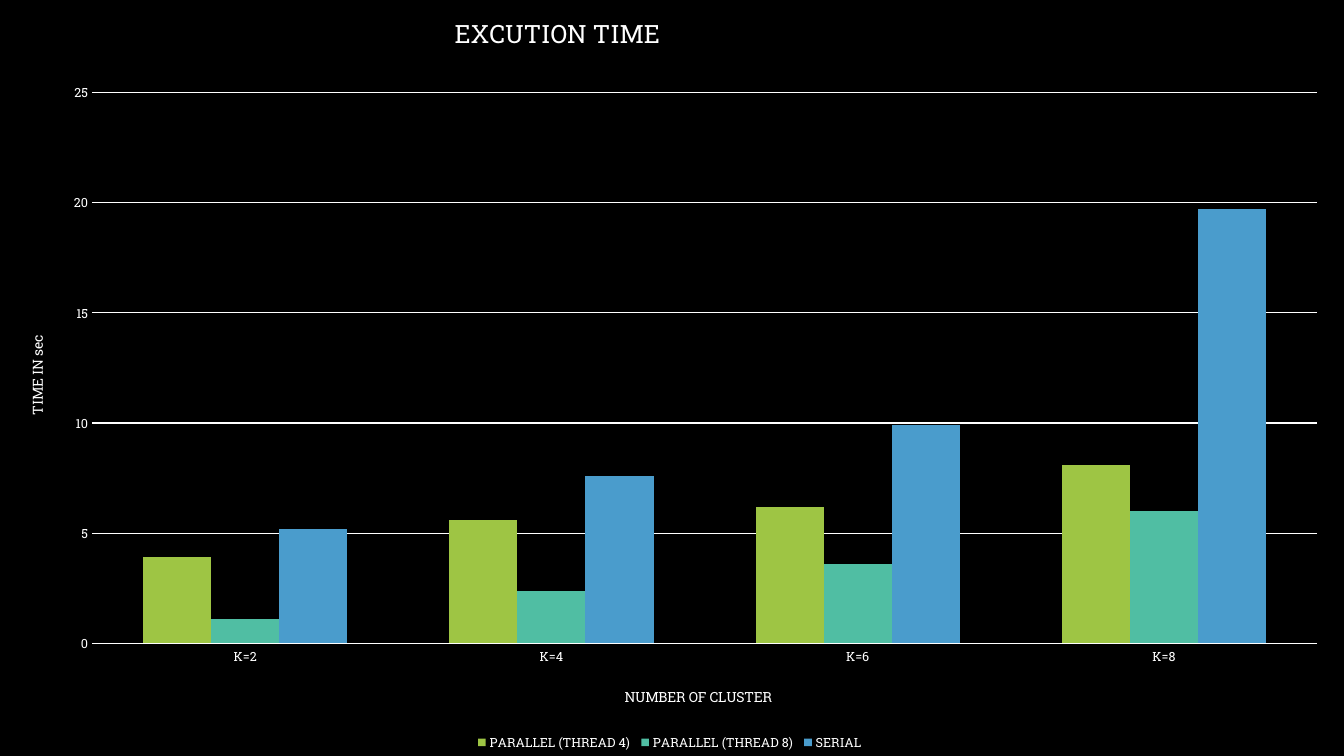
from lxml import etree
from pptx import Presentation
from pptx.chart.data import CategoryChartData
from pptx.dml.color import RGBColor
from pptx.enum.chart import XL_CHART_TYPE, XL_LEGEND_POSITION, XL_TICK_MARK
from pptx.oxml.ns import qn
from pptx.util import Cm, Pt

COLUMN_CLUSTERED = XL_CHART_TYPE.COLUMN_CLUSTERED
LEGEND_BOTTOM = XL_LEGEND_POSITION.BOTTOM
NO_TICK = XL_TICK_MARK.NONE

BLACK = RGBColor(0x00, 0x00, 0x00)
WHITE = RGBColor(0xFF, 0xFF, 0xFF)
GREEN = RGBColor(0x9E, 0xC5, 0x44)
TEAL = RGBColor(0x50, 0xBE, 0xA3)
BLUE = RGBColor(0x4A, 0x9C, 0xCC)

WIDTH, HEIGHT = Cm(33.87), Cm(19.05)
CATEGORIES = ["K=2", "K=4", "K=6", "K=8"]
SERIES = [
    ("PARALLEL (THREAD 4) ", GREEN, (3.9, 5.6, 6.2, 8.1)),
    ("PARALLEL (THREAD 8) ", TEAL, (1.1, 2.4, 3.6, 6)),
    ("SERIAL", BLUE, (5.2, 7.6, 9.9, 19.7)),
]


def format_font(font, size, color=WHITE, name="Roboto Slab"):
    font.size = Pt(size)
    font.bold = False
    font.name = name
    font.color.rgb = color


def write_text(text_frame, text, size=10, **style):
    paragraph = text_frame.paragraphs[0]
    run = paragraph.add_run()
    run.text = text
    format_font(run.font, size, **style)


def place(element, index, target=None, **fractions):
    """Give a chart part a manual layout in fractions of the chart."""
    for old_layout in element.findall(qn("c:layout")):
        element.remove(old_layout)
    layout = etree.Element(qn("c:layout"))
    manual = etree.SubElement(layout, qn("c:manualLayout"))
    if target:
        etree.SubElement(manual, qn("c:layoutTarget"), val=target)
    for mode in ("xMode", "yMode"):
        etree.SubElement(manual, qn("c:" + mode), val="edge")
    for name, value in fractions.items():
        etree.SubElement(manual, qn("c:" + name), val=str(round(value, 4)))
    element.insert(index, layout)


class ChartSlide:
    def __init__(self, presentation):
        self.slide = presentation.slides.add_slide(presentation.slide_layouts[6])
        fill = self.slide.background.fill
        fill.solid()
        fill.fore_color.rgb = BLACK

    def add_columns(self, categories, series_rows):
        data = CategoryChartData()
        data.categories = categories
        for name, _, values in series_rows:
            data.add_series(name, values)
        frame = self.slide.shapes.add_chart(COLUMN_CLUSTERED, 0, 0, WIDTH, HEIGHT, data)
        self.chart = frame.chart
        format_font(self.chart.font, 10)

        # Transparent chart area
        space = self.chart.element if hasattr(self.chart, "element") else self.chart._chartSpace
        properties = etree.Element(qn("c:spPr"))
        etree.SubElement(properties, qn("a:noFill"))
        line = etree.SubElement(properties, qn("a:ln"))
        etree.SubElement(line, qn("a:noFill"))
        space.find(qn("c:chart")).addnext(properties)
        place(space.find(".//" + qn("c:plotArea")), 0, "inner",
              x=92 / 1344, y=92.5 / 756, w=1225 / 1344, h=551 / 756)

        plot = self.chart.plots[0]
        plot.gap_width = 150
        plot.overlap = 0
        plot.vary_by_categories = False
        for series, (_, color, _) in zip(plot.series, series_rows):
            series.format.fill.solid()
            series.format.fill.fore_color.rgb = color
            series.invert_if_negative = False

    def add_title(self, owner, text, x, y, size=10, rotation=0):
        title = owner.chart_title if owner is self.chart else owner.axis_title
        write_text(title.text_frame, text, size=size)
        element = title._element
        body = element.find(".//" + qn("a:bodyPr"))
        body.set("rot", str(rotation * 60000))
        body.set("vert", "horz")
        place(element, 1, x=x, y=y)

    def style_axis(self, axis, gridlines):
        axis.major_tick_mark = axis.minor_tick_mark = NO_TICK
        axis.format.line.fill.background()
        format_font(axis.tick_labels.font, 9)
        axis.has_major_gridlines = gridlines
        if gridlines:
            line = axis.major_gridlines.format.line
            line.color.rgb = WHITE
            line.width = Pt(0.75)

    def add_legend(self, x, y):
        self.chart.has_legend = True
        legend = self.chart.legend
        legend.position = LEGEND_BOTTOM
        legend.include_in_layout = False
        format_font(legend.font, 9)
        place(legend._element, 1, x=x, y=y)


def main():
    presentation = Presentation()
    presentation.slide_width, presentation.slide_height = WIDTH, HEIGHT
    page = ChartSlide(presentation)

    # Columns
    page.add_columns(CATEGORIES, SERIES)
    chart = page.chart

    # Axes
    value_axis, category_axis = chart.value_axis, chart.category_axis
    value_axis.minimum_scale, value_axis.maximum_scale = 0, 25
    value_axis.major_unit = 5
    page.style_axis(value_axis, gridlines=True)
    page.style_axis(category_axis, gridlines=False)

    # Titles and legend
    page.add_title(chart, "EXCUTION TIME", 450 / 1344, 10 / 756, size=18)
    page.add_title(category_axis, "NUMBER OF CLUSTER", 622 / 1344, 684 / 756)
    page.add_title(value_axis, "TIME IN sec", 24 / 1344, 333 / 756, rotation=-90)
    page.add_legend(474 / 1344, 734 / 756)

    presentation.save("out.pptx")


if __name__ == "__main__":
    main()
